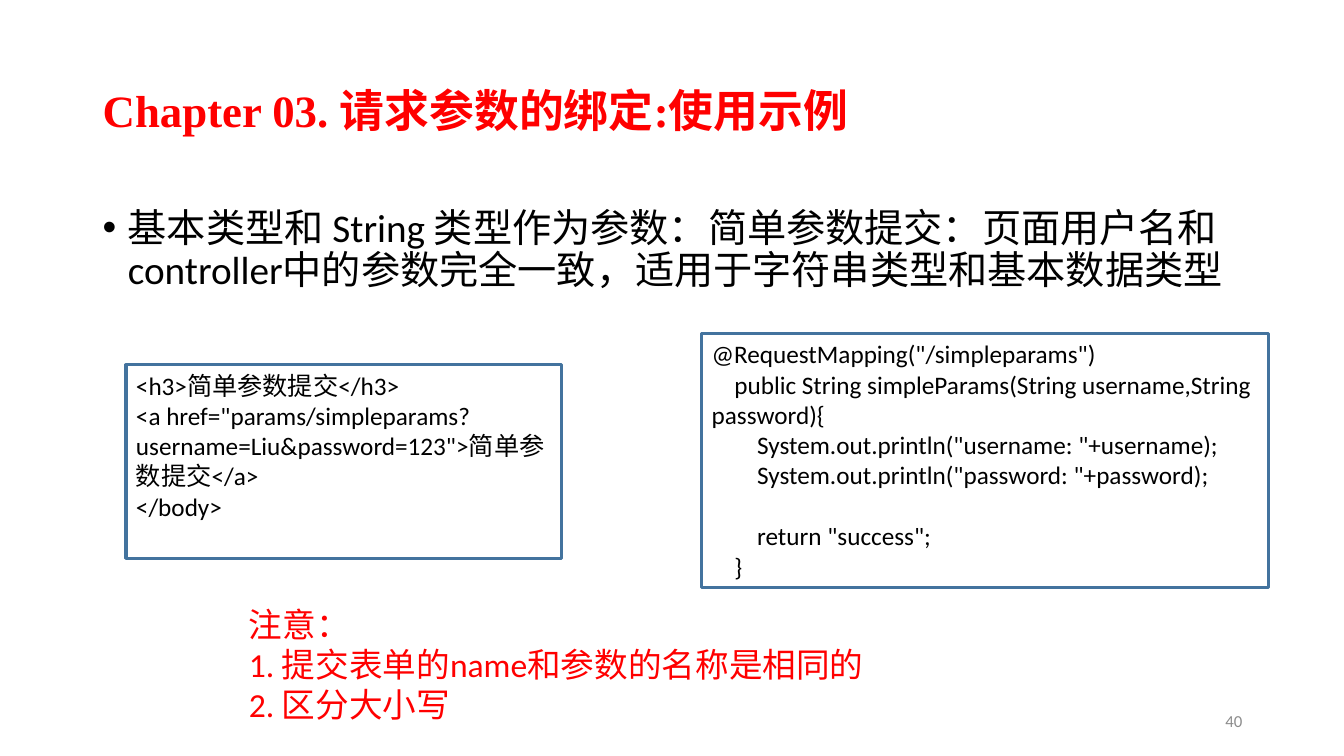
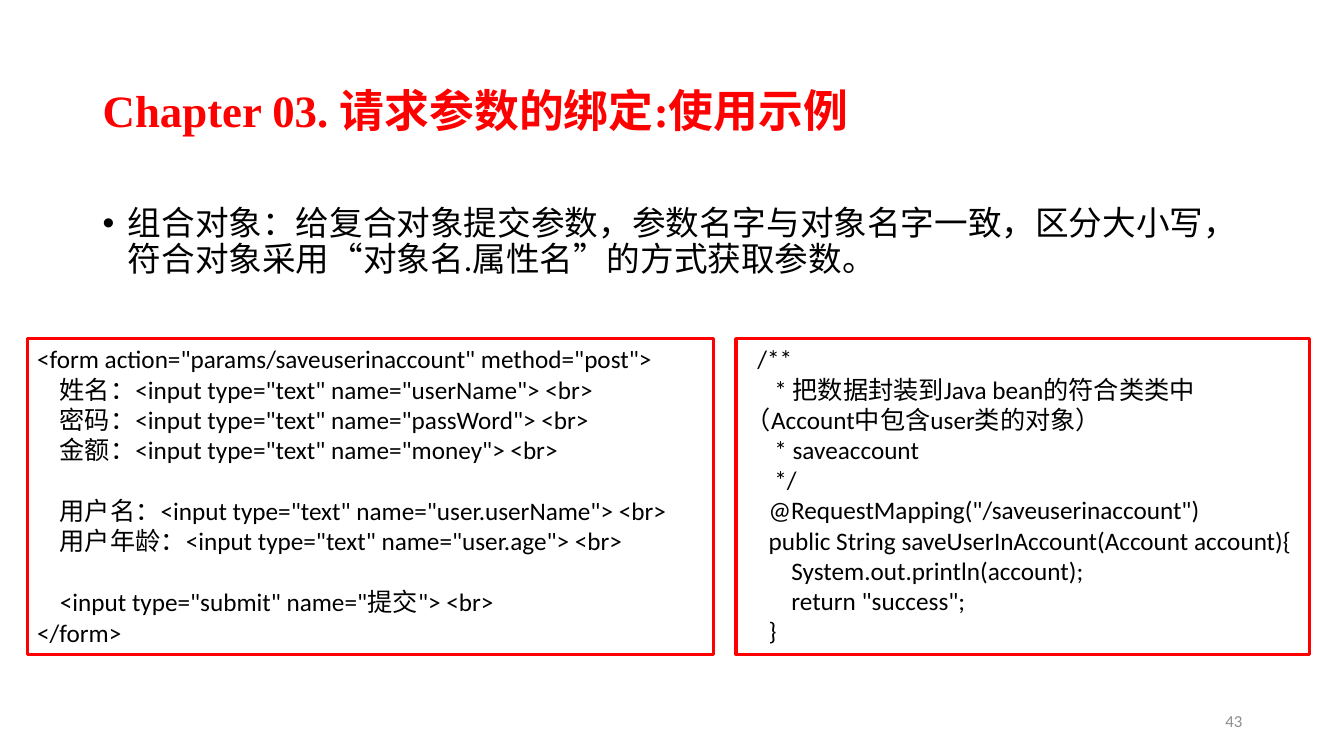
from dataclasses import dataclass

from lxml.etree import SubElement
from pptx import Presentation
from pptx.dml.color import RGBColor as Rgb
from pptx.enum.shapes import MSO_SHAPE as Shape
from pptx.enum.text import MSO_ANCHOR as Anchor, PP_ALIGN as Align
from pptx.oxml.ns import qn
from pptx.util import Inches, Pt

COLORS = {"red": "FF0000", "blue": "43739E", "black": "000000", "gray": "8C8C8C"}
TITLE = "Chapter 03. 请求参数的绑定:使用示例"
CODE_SIZE = 18
CODE_GAP = 22  # one line of code, in points


@dataclass(frozen=True)
class Box:
    left: float
    top: float
    width: float
    height: float


@dataclass(frozen=True)
class Style:
    size: int
    color: str = "black"
    font: str = "Calibri"
    bold: bool = False
    align: Align = Align.LEFT


@dataclass(frozen=True)
class Code:
    box: Box
    line: str
    text: str


@dataclass(frozen=True)
class Page:
    number: int
    point: str
    size: int
    top: float
    codes: tuple[Code, ...]
    notes: tuple[str, ...] = ()


HEAD = Style(32, "red", "Times New Roman", bold=True)
FOOT = Style(12, "gray", align=Align.RIGHT)
NOTE = Style(24, "red")
HEAD_BOX = Box(0.92, 0.4, 11.5, 1.45)
FOOT_BOX = Box(9.42, 6.95, 3, 0.4)
NOTE_BOX = Box(2.37, 5.94, 8.59, 1.31)

PARAMS_FORM = """<h3>简单参数提交</h3>
<a href="params/simpleparams?username=Liu&password=123">简单参数提交</a>
</body>"""

PARAMS_JAVA = """@RequestMapping("/simpleparams")
    public String simpleParams(String username,String password){
        System.out.println("username: "+username);
        System.out.println("password: "+password);

        return "success";
    }"""

USER_FORM = """<form action="params/saveuserinaccount" method="post">
    姓名：<input type="text" name="userName"> <br>
    密码：<input type="text" name="passWord"> <br>
    金额：<input type="text" name="money"> <br>

    用户名：<input type="text" name="user.userName"> <br>
    用户年龄：<input type="text" name="user.age"> <br>

    <input type="submit" name="提交"> <br>
</form>"""

USER_JAVA = """  /**
     * 把数据封装到Java bean的符合类类中（Account中包含user类的对象）
     * saveaccount
     */
    @RequestMapping("/saveuserinaccount")
    public String saveUserInAccount(Account account){
        System.out.println(account);
        return "success";
    }"""

PAGES = (
    Page(
        40,
        "基本类型和 String 类型作为参数：简单参数提交：页面用户名和controller中的参数完全一致，适用于字符串类型和基本数据类型",
        28,
        2.02,
        (
            Code(Box(6.96, 3.31, 5.62, 2.52), "blue", PARAMS_JAVA),
            Code(Box(1.25, 3.62, 4.32, 1.92), "blue", PARAMS_FORM),
        ),
        ("注意：", "1. 提交表单的name和参数的名称是相同的", "2. 区分大小写"),
    ),
    Page(
        43,
        "组合对象：给复合对象提交参数，参数名字与对象名字一致，区分大小写，符合对象采用“对象名.属性名”的方式获取参数。",
        24,
        2,
        (
            Code(Box(0.27, 3.36, 6.81, 3.13), "red", USER_FORM),
            Code(Box(7.3, 3.36, 5.69, 3.13), "red", USER_JAVA),
        ),
    ),
)


def paint(name: str) -> Rgb:
    return Rgb.from_string(COLORS[name])


def place(box: Box) -> tuple:
    return tuple(Inches(n) for n in (box.left, box.top, box.width, box.height))


def write(para, text: str, style: Style) -> None:
    para.alignment = style.align
    run = para.add_run()
    run.text = text
    font = run.font
    font.name, font.size, font.bold = style.font, Pt(style.size), style.bold
    font.color.rgb = paint(style.color)


def fill(frame, lines: tuple[str, ...], style: Style) -> None:
    """Write one paragraph a line; an empty line becomes space before the next."""
    gap = 0
    para = frame.paragraphs[0]
    for i, line in enumerate(lines):
        if not line:
            gap = CODE_GAP
            continue
        if i:
            para = frame.add_paragraph()
        if gap:
            para.space_before = Pt(gap)
            gap = 0
        write(para, line, style)


def add_text(slide, box: Box, lines: tuple[str, ...], style: Style,
             anchor: Anchor = Anchor.TOP):
    frame = slide.shapes.add_textbox(*place(box)).text_frame
    frame.word_wrap = True
    frame.vertical_anchor = anchor
    fill(frame, lines, style)
    return frame.paragraphs[0]


def add_point(slide, page: Page) -> None:
    box = Box(0.92, page.top, 11.5, 1.2)
    para = add_text(slide, box, (page.point,), Style(page.size))
    props = para._p.get_or_add_pPr()
    props.set("marL", str(Inches(0.25)))
    props.set("indent", str(Inches(-0.25)))
    SubElement(props, qn("a:buFont"), typeface="Arial")
    SubElement(props, qn("a:buChar"), char="•")
    para.line_spacing = 0.9


def add_code(slide, code: Code) -> None:
    panel = slide.shapes.add_shape(Shape.RECTANGLE, *place(code.box))
    panel.shadow.inherit = False
    panel.fill.background()
    panel.line.color.rgb = paint(code.line)
    panel.line.width = Pt(2.25)
    frame = panel.text_frame
    frame.word_wrap = True
    frame.vertical_anchor = Anchor.TOP
    fill(frame, tuple(code.text.split("\n")), Style(CODE_SIZE))


def add_page(deck, page: Page) -> None:
    slide = deck.slides.add_slide(deck.slide_layouts[6])
    add_text(slide, HEAD_BOX, (TITLE,), HEAD, Anchor.MIDDLE).line_spacing = 0.9
    add_text(slide, FOOT_BOX, (str(page.number),), FOOT, Anchor.MIDDLE)
    add_point(slide, page)
    for code in page.codes:
        add_code(slide, code)
    if page.notes:
        add_text(slide, NOTE_BOX, page.notes, NOTE)


def main() -> None:
    deck = Presentation()
    deck.slide_width, deck.slide_height = Inches(13.33), Inches(7.5)
    for page in PAGES:
        add_page(deck, page)
    deck.save("out.pptx")


if __name__ == "__main__":
    main()
